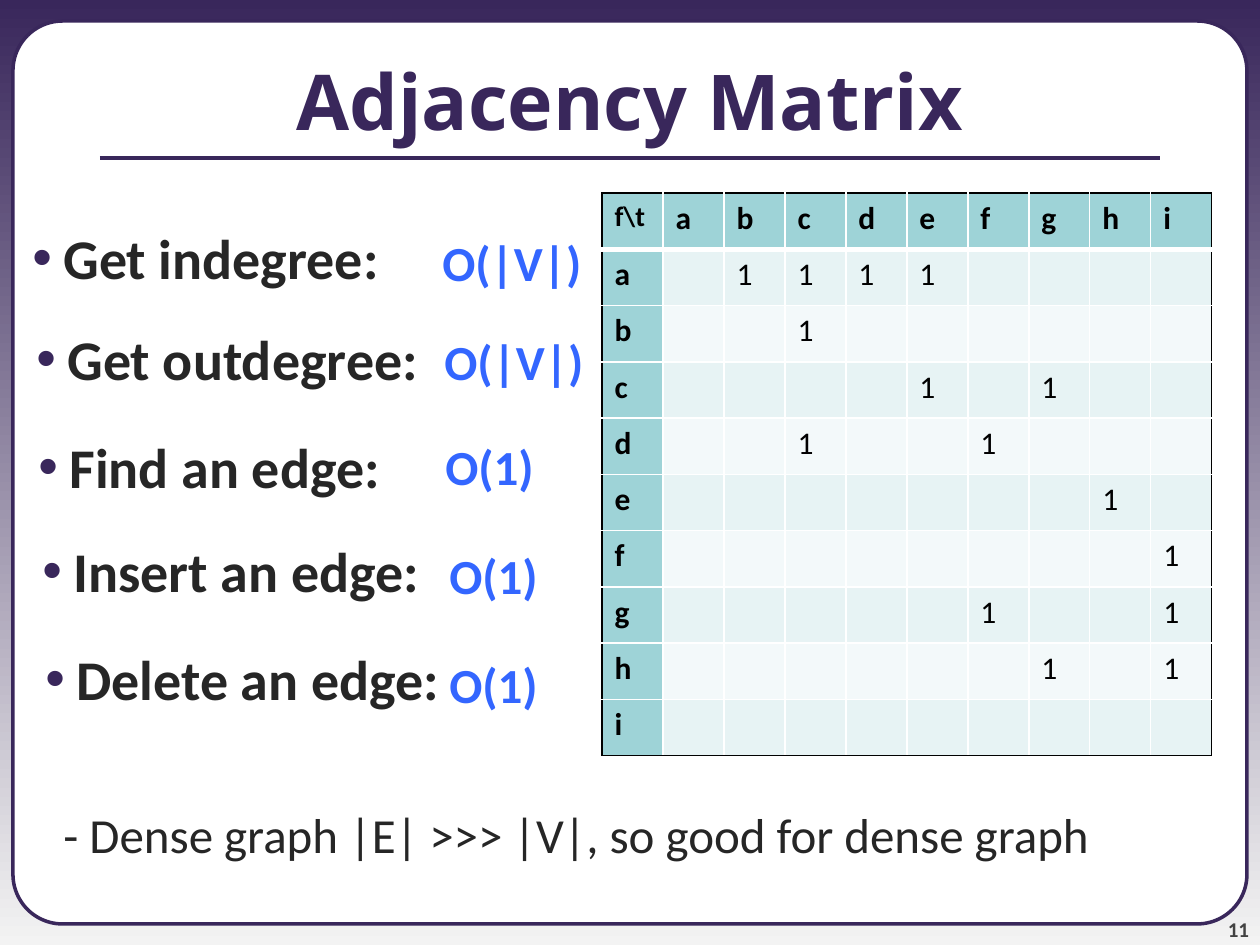
"""Build the adjacency matrix slide."""
from dataclasses import dataclass

from lxml import etree
from pptx import Presentation
from pptx.dml.color import RGBColor
from pptx.enum.shapes import MSO_CONNECTOR, MSO_SHAPE
from pptx.enum.text import MSO_ANCHOR, PP_ALIGN
from pptx.oxml.ns import qn
from pptx.util import Pt

LEFT, MID, RIGHT = PP_ALIGN.LEFT, PP_ALIGN.CENTER, PP_ALIGN.RIGHT
TOP, CORE, BASE = MSO_ANCHOR.TOP, MSO_ANCHOR.MIDDLE, MSO_ANCHOR.BOTTOM
ROUND, LINE = MSO_SHAPE.ROUNDED_RECTANGLE, MSO_CONNECTOR.STRAIGHT

PURPLE, WHITE, BLACK = "39275B", "FFFFFF", "000000"
INK, BLUE, GREY = "262626", "3366FF", "424242"
TEAL, BANDS = "9ED3D7", ("E7F3F4", "F3F9FA")

NODES = "abcdefghi"
EDGES = {"a": "bcde", "b": "c", "c": "eg", "d": "cf", "e": "h",
         "f": "i", "g": "fi", "h": "gi", "i": ""}


@dataclass
class Label:
    text: str
    x: int
    y: int
    w: int
    h: int
    size: int
    ink: str
    bold: bool = True
    face: str = "Calibri"
    align: PP_ALIGN = LEFT
    anchor: MSO_ANCHOR = TOP
    wrap: bool = True
    bullet: bool = False
    indent: int = 0
    inset: bool = True


@dataclass
class Task:
    name: str
    x: int
    y: int
    w: int
    cost: str
    cost_x: int
    cost_y: int
    cost_w: int


TASKS = [
    Task("Get indegree:", 20, 217, 377, "O(|V|)", 430, 226, 166),
    Task("Get outdegree:", 24, 318, 425, "O(|V|)", 432, 325, 166),
    Task("Find an edge:", 26, 426, 425, "O(1)", 433, 430, 115),
    Task("Insert an edge:", 30, 530, 425, "O(1)", 437, 539, 115),
    Task("Delete an edge:", 33, 638, 425, "O(1)", 437, 648, 115),
]


def px(count: int) -> int:
    """Turn pixels into EMU."""
    return count * 914400 // 126


def tint(code: str) -> RGBColor:
    """Turn a hex string into a colour."""
    return RGBColor.from_string(code)


def style(para, size: int, ink: str, bold: bool, face: str = "Calibri") -> None:
    """Set the font of a paragraph."""
    font = para.font
    font.size, font.bold, font.name = Pt(size), bold, face
    font.color.rgb = tint(ink)


def add_bullet(props) -> None:
    """Give paragraph properties a purple round bullet."""
    hue = etree.SubElement(props, qn("a:buClr"))
    etree.SubElement(hue, qn("a:srgbClr"), val=PURPLE)
    etree.SubElement(props, qn("a:buFont"), typeface="Arial")
    etree.SubElement(props, qn("a:buChar"), char="•")


def add_label(slide, item: Label) -> None:
    """Draw one text box."""
    box = slide.shapes.add_textbox(px(item.x), px(item.y), px(item.w), px(item.h))
    frame = box.text_frame
    frame.word_wrap, frame.vertical_anchor = item.wrap, item.anchor
    if not item.inset:
        frame.margin_left = frame.margin_right = 0
        frame.margin_top = frame.margin_bottom = 0
    para = frame.paragraphs[0]
    para.text, para.alignment = item.text, item.align
    props = para._p.get_or_add_pPr()
    if item.indent:
        props.set("marL", str(px(item.indent)))
    if item.bullet:
        props.set("indent", str(-px(item.indent)))
        add_bullet(props)
    style(para, item.size, item.ink, item.bold, item.face)


def add_edge(cell, slot: int, side: str, ink: str, width: int) -> None:
    """Draw one border of a cell."""
    line = etree.Element(qn(f"a:ln{side}"), w=str(Pt(width)))
    fill = etree.SubElement(line, qn("a:solidFill"))
    etree.SubElement(fill, qn("a:srgbClr"), val=ink)
    cell._tc.get_or_add_tcPr().insert(slot, line)


def add_matrix(slide, x: int, y: int, w: int, h: int) -> None:
    """Draw the table of edges."""
    heads = ["f\\t", *NODES]
    count = len(heads)
    last = count - 1
    table = slide.shapes.add_table(count, count, px(x), px(y), px(w), px(h)).table
    for col in table.columns:
        col.width = px(w) // count
    for row in table.rows:
        row.height = px(h) // count
    for r, source in enumerate(heads):
        for c, target in enumerate(heads):
            cell = table.cell(r, c)
            head = r == 0 or c == 0
            if head:
                text = target if r == 0 else source
            else:
                text = "1" if target in EDGES[source] else ""
            cell.fill.solid()
            cell.fill.fore_color.rgb = tint(TEAL if head else BANDS[(r - 1) % 2])
            para = cell.text_frame.paragraphs[0]
            para.text = text
            style(para, 16 if r == c == 0 else 18, BLACK, head)
            outer = {"L": c == 0, "R": c == last, "T": r == 0, "B": r == last}
            for slot, (side, rim) in enumerate(outer.items()):
                thick = (side == "B" and r == 0) or (side == "T" and r == 1)
                add_edge(cell, slot, side, BLACK if rim else WHITE, 3 if thick else 1)


def add_frame(slide) -> None:
    """Draw the background, the white panel and the title rule."""
    fill = slide.background.fill
    fill.gradient()
    fill.gradient_angle = 270
    for stop, ink, place in zip(fill.gradient_stops, (PURPLE, "F3F3F3"), (0, 1)):
        stop.color.rgb, stop.position = tint(ink), place
    panel = slide.shapes.add_shape(ROUND, px(13), px(21), px(1234), px(903))
    panel.shadow.inherit = False
    panel.adjustments[0] = 0.055
    panel.fill.solid()
    panel.fill.fore_color.rgb = tint(WHITE)
    panel.line.color.rgb, panel.line.width = tint(PURPLE), Pt(2)
    rule = slide.shapes.add_connector(LINE, px(100), px(158), px(1160), px(158))
    rule.line.color.rgb, rule.line.width = tint(PURPLE), Pt(2.25)
    etree.SubElement(rule._element.spPr, qn("a:effectLst"))


def main() -> None:
    """Build and save the slide."""
    deck = Presentation()
    deck.slide_width, deck.slide_height = px(1260), px(945)
    slide = deck.slides.add_slide(deck.slide_layouts[6])
    add_frame(slide)
    add_label(slide, Label("11", 1144, 892, 105, 50, 12, GREY,
                           align=RIGHT, anchor=BASE, inset=False))
    add_label(slide, Label("Adjacency Matrix", 0, 21, 1260, 158, 44, PURPLE,
                           face="Open Sans", align=MID, anchor=CORE))
    add_matrix(slide, 602, 193, 610, 563)
    for task in TASKS:
        add_label(slide, Label(task.name, task.x, task.y, task.w, 81, 32, INK,
                               bullet=True, indent=31))
        add_label(slide, Label(task.cost, task.cost_x, task.cost_y, task.cost_w,
                               72, 28, BLUE, wrap=False))
    add_label(slide, Label("- Dense graph |E| >>> |V|, so good for dense graph",
                           20, 798, 1240, 72, 28, INK, bold=False, indent=31))
    deck.save("out.pptx")


if __name__ == "__main__":
    main()
